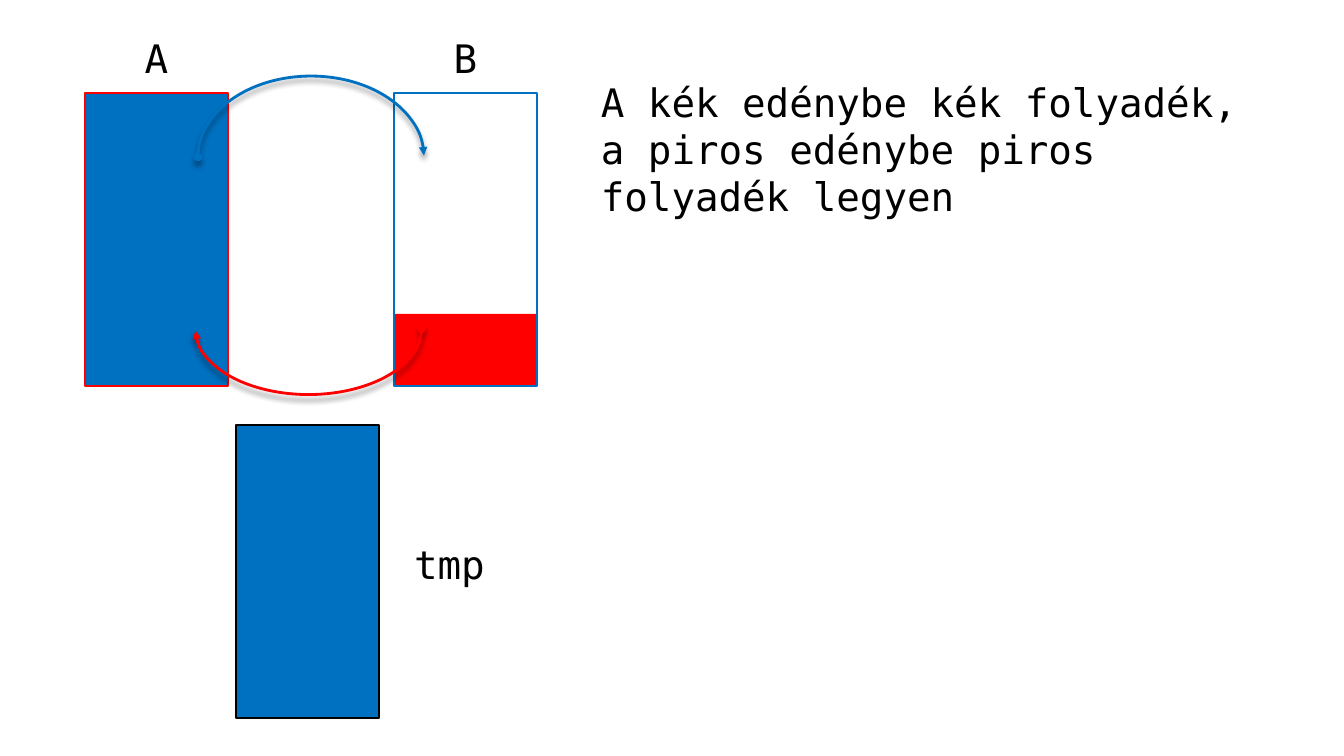
from lxml.etree import SubElement
from pptx import Presentation
from pptx.dml.color import RGBColor
from pptx.enum.shapes import MSO_SHAPE as SHAPE
from pptx.enum.text import MSO_AUTO_SIZE as AUTO_SIZE, PP_ALIGN as ALIGN
from pptx.oxml.ns import qn
from pptx.util import Pt

PX = 914400 / 100.8
FONT = "DejaVu Sans Mono"
BLUE, RED, BLACK = "0070C0", "FF0000", "000000"
VESSEL_W, VESSEL_H = 143, 293
VESSEL_TOP, LABEL_TOP, LABEL_H = 93, 29, 57
A_LEFT, B_LEFT = 85, 394
TMP_LEFT, TMP_TOP = 236, 425
RED_LIQUID_H = 72


def emu(*lengths):
    return [round(length * PX) for length in lengths]


def color(hex_value):
    return RGBColor.from_string(hex_value)


def add_outline(shape, hex_value, width):
    shape.line.color.rgb = color(hex_value)
    shape.line.width = Pt(width)


def add_liquid(slide, left, top, height, hex_value):
    liquid = slide.shapes.add_shape(
        SHAPE.RECTANGLE, *emu(left, top, VESSEL_W, height))
    liquid.shadow.inherit = False
    liquid.fill.solid()
    liquid.fill.fore_color.rgb = color(hex_value)
    liquid.line.fill.background()


def add_vessel(slide, left, top, hex_value):
    vessel = slide.shapes.add_shape(
        SHAPE.RECTANGLE, *emu(left, top, VESSEL_W, VESSEL_H))
    vessel.shadow.inherit = False
    vessel.fill.background()
    add_outline(vessel, hex_value, 1.5)


def add_text(slide, box, lines, align=ALIGN.LEFT):
    frame = slide.shapes.add_textbox(*emu(*box)).text_frame
    frame.word_wrap = True
    frame.auto_size = AUTO_SIZE.SHAPE_TO_FIT_TEXT
    for index, line in enumerate(lines):
        paragraph = frame.add_paragraph() if index else frame.paragraphs[0]
        paragraph.alignment = align
        run = paragraph.add_run()
        run.text = line
        run.font.name = FONT
        run.font.size = Pt(28)
        run.font.color.rgb = color(BLACK)


def add_label(slide, left, top, name):
    add_text(slide, (left, top, VESSEL_W, LABEL_H), [name], ALIGN.CENTER)


def add_soft_shadow(shape):
    shape.shadow.inherit = False
    effects = shape._element.spPr.find(qn("a:effectLst"))
    shadow = SubElement(effects, qn("a:outerShdw"), blurRad=str(Pt(4)),
                        dist=str(Pt(3.4)), dir="5400000", rotWithShape="0")
    black = SubElement(shadow, qn("a:srgbClr"), val=BLACK)
    SubElement(black, qn("a:alpha"), val="40000")


def add_pour_arrow(slide, box, hex_value, flipped=False):
    arrow = slide.shapes.add_shape(SHAPE.ARC, *emu(*box))
    arrow.adjustments[0] = 162
    arrow.adjustments[1] = 53.52
    arrow.rotation = 270
    if flipped:
        arrow._element.spPr.xfrm.set("flipH", "1")
        arrow._element.spPr.xfrm.set("flipV", "1")
    arrow.fill.background()
    add_outline(arrow, hex_value, 2)
    stroke = arrow.line._get_or_add_ln()
    SubElement(stroke, qn("a:headEnd"), type="oval")
    SubElement(stroke, qn("a:tailEnd"), type="triangle")
    add_soft_shadow(arrow)


def main():
    deck = Presentation()
    deck.slide_width, deck.slide_height = emu(1344, 756)
    slide = deck.slides.add_slide(deck.slide_layouts[6])

    add_liquid(slide, TMP_LEFT, TMP_TOP, VESSEL_H, BLUE)
    add_liquid(slide, A_LEFT, VESSEL_TOP, VESSEL_H, BLUE)
    add_vessel(slide, A_LEFT, VESSEL_TOP, RED)
    add_label(slide, A_LEFT, LABEL_TOP, "A")

    red_top = VESSEL_TOP + VESSEL_H - RED_LIQUID_H
    add_liquid(slide, B_LEFT, red_top, RED_LIQUID_H, RED)
    add_vessel(slide, B_LEFT, VESSEL_TOP, BLUE)
    add_label(slide, B_LEFT, LABEL_TOP, "B")

    add_text(slide, (591, 73, 709, 152), [
        "A kék edénybe kék folyadék,",
        "a piros edénybe piros folyadék legyen",
    ])

    add_pour_arrow(slide, (230, 44, 162, 226), BLUE)
    add_pour_arrow(slide, (243, 216, 131, 226), RED, flipped=True)

    add_vessel(slide, TMP_LEFT, TMP_TOP, BLACK)
    add_label(slide, 378, 535, "tmp")
    deck.save("out.pptx")


if __name__ == "__main__":
    main()
